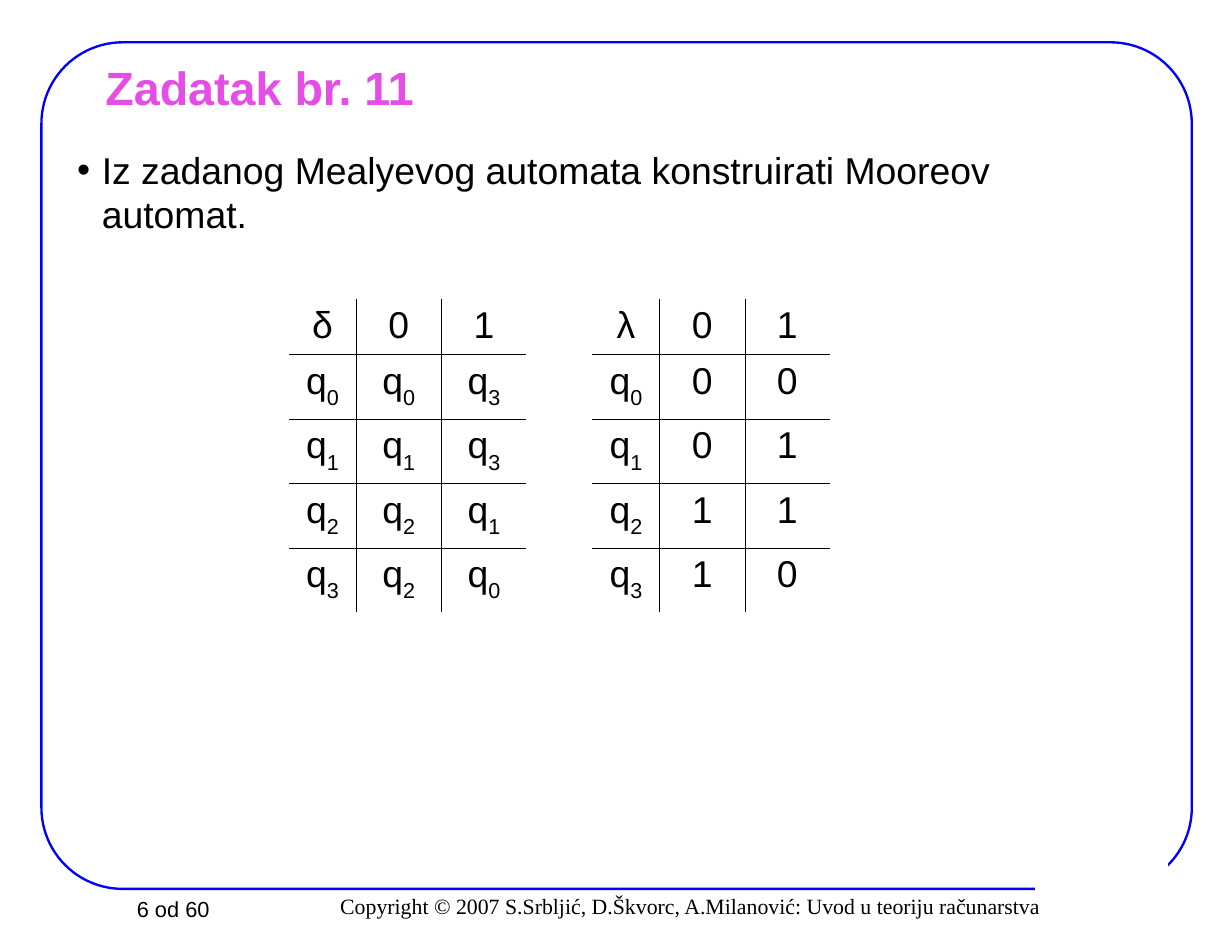
from lxml import etree
from pptx import Presentation
from pptx import util as u
from pptx.dml.color import RGBColor
from pptx.enum import shapes, text
from pptx.oxml import ns

BLACK, WHITE, BLUE, PINK = "000000", "FFFFFF", "0000FF", "E44EE4"
THICK, THIN = 0.75, 0.34


def color(value):
    return RGBColor.from_string(value)


def add_xml(parent, tag, **attributes):
    return etree.SubElement(parent, ns.qn(tag), attributes)


def style(paragraph, size, name="Arial", ink=BLACK, align=text.PP_ALIGN.LEFT, bold=False):
    paragraph.alignment = align
    font = paragraph.font
    font.name, font.size, font.bold = name, u.Pt(size), bold
    font.color.rgb = color(ink)


def set_frame(box, inset_x, inset_y, wrap=True, anchor=text.MSO_ANCHOR.TOP):
    frame = box.text_frame
    frame.auto_size = text.MSO_AUTO_SIZE.NONE
    frame.word_wrap, frame.vertical_anchor = wrap, anchor
    frame.margin_left = frame.margin_right = u.Cm(inset_x)
    frame.margin_top = frame.margin_bottom = u.Cm(inset_y)
    return frame


def add_border(page, left, top, width, height):
    """Rounded page border with a gap at its lower right."""
    parts = (
        (shapes.MSO_SHAPE.ROUNDED_RECTANGLE, left, top, width, height, BLUE, 1.5),
        (shapes.MSO_SHAPE.RECTANGLE, left + width - 3.53, top + height - 0.69,
         2.97, 1.27, WHITE, 1),
    )
    for kind, x, y, w, h, ink, weight in parts:
        shape = page.shapes.add_shape(kind, u.Cm(x), u.Cm(y), u.Cm(w), u.Cm(h))
        shape.shadow.inherit = False
        shape.line.color.rgb = color(ink)
        shape.line.width = u.Pt(weight)
        if kind == shapes.MSO_SHAPE.ROUNDED_RECTANGLE:
            shape.adjustments[0] = 0.096
            shape.fill.background()
        else:
            shape.fill.solid()
            shape.fill.fore_color.rgb = color(WHITE)


def add_footer(page, left, top):
    """Page count and copyright line."""
    count = page.shapes.add_textbox(u.Cm(left), u.Cm(top + 0.07), u.Cm(4.14), u.Cm(0.86))
    frame = set_frame(count, 0.25, 0.13, wrap=False)
    frame.text = "6 od 60"
    style(frame.paragraphs[0], 14, align=text.PP_ALIGN.CENTER)

    notice = page.shapes.add_textbox(u.Cm(left + 3.86), u.Cm(top), u.Cm(18.14), u.Cm(0.86))
    frame = set_frame(notice, 0.25, 0.13, anchor=text.MSO_ANCHOR.MIDDLE)
    frame.text = ("Copyright © 2007 S.Srbljić, D.Škvorc, A.Milanović: "
                  "Uvod u teoriju računarstva")
    style(frame.paragraphs[0], 14, name="Times New Roman", align=text.PP_ALIGN.RIGHT)


def add_title(page, left, top, width, height):
    title = page.shapes.title
    title.left, title.top = u.Cm(left), u.Cm(top)
    title.width, title.height = u.Cm(width), u.Cm(height)
    frame = set_frame(title, 0.28, 0.15, anchor=text.MSO_ANCHOR.MIDDLE)
    frame.text = "Zadatak br. 11"
    style(frame.paragraphs[0], 30, ink=PINK, bold=True)


def add_task(page, left, top, width, height):
    """Bulleted task statement."""
    box = page.shapes.add_textbox(u.Cm(left), u.Cm(top), u.Cm(width), u.Cm(height))
    frame = set_frame(box, 0.28, 0.15)
    frame.text = "Iz zadanog Mealyevog automata konstruirati Mooreov automat."
    paragraph = frame.paragraphs[0]
    properties = paragraph._p.get_or_add_pPr()
    properties.set("marL", str(u.Cm(0.56)))
    properties.set("indent", str(-u.Cm(0.56)))
    add_xml(add_xml(properties, "a:buClr"), "a:srgbClr", val=BLACK)
    add_xml(properties, "a:buFont", typeface="Arial")
    add_xml(properties, "a:buChar", char="•")
    style(paragraph, 24)


def set_borders(cell, weights):
    """Draw the sides named in weights and clear the others."""
    properties = cell._tc.get_or_add_tcPr()
    for side in "LRTB":
        weight = weights.get(side)
        if weight:
            line = add_xml(properties, "a:ln" + side, w=str(u.Pt(weight)))
            add_xml(add_xml(line, "a:solidFill"), "a:srgbClr", val=BLACK)
        else:
            add_xml(add_xml(properties, "a:ln" + side, w="0"), "a:noFill")
    cell.fill.background()


def fill_cell(cell, label):
    """Write a label; digits after a q become a subscript."""
    cell.margin_left = cell.margin_right = u.Cm(0.25)
    cell.margin_top = cell.margin_bottom = u.Cm(0.13)
    paragraph = cell.text_frame.paragraphs[0]
    style(paragraph, 24, align=text.PP_ALIGN.CENTER)
    if label:
        paragraph.add_run().text = label[0]
    if label[1:]:
        span = paragraph.add_run()
        span.text = label[1:]
        span._r.get_or_add_rPr().set("baseline", "-30000")


def add_automaton(page, left, top):
    """Transition and output tables, side by side in one grid."""
    rows = [
        ["δ", "0", "1", "", "λ", "0", "1"],
        ["q0", "q0", "q3", "", "q0", "0", "0"],
        ["q1", "q1", "q3", "", "q1", "0", "1"],
        ["q2", "q2", "q1", "", "q2", "1", "1"],
        ["q3", "q2", "q0", "", "q3", "1", "0"],
    ]
    block = [1.53, 1.93, 1.93]
    widths = block + [1.49] + block
    heights = [1.27] + [1.46] * 4
    table = page.shapes.add_table(
        len(rows), len(widths), u.Cm(left), u.Cm(top),
        u.Cm(sum(widths)), u.Cm(sum(heights))).table
    table.first_row = table.horz_banding = False
    for column, width in zip(table.columns, widths):
        column.width = u.Cm(width)
    for row, height in zip(table.rows, heights):
        row.height = u.Cm(height)

    # Lines between the columns and rows of each block
    upright = [None, THICK, THIN, None]
    level = [None, THICK, THIN, THIN, THIN, None]
    for r, labels in enumerate(rows):
        for c, label in enumerate(labels):
            cell = table.cell(r, c)
            fill_cell(cell, label)
            place = c % 4
            weights = {}
            if place < 3:
                weights = {"L": upright[place], "R": upright[place + 1],
                           "T": level[r], "B": level[r + 1]}
            set_borders(cell, weights)


def main():
    deck = Presentation()
    deck.slide_width, deck.slide_height = u.Cm(27.94), u.Cm(21.59)
    page = deck.slides.add_slide(deck.slide_layouts[5])
    add_border(page, 0.94, 0.96, 26.09, 19.2)
    add_footer(page, 1.86, 20.12)
    add_task(page, 1.47, 3.18, 24.36, 3.35)
    add_title(page, 2.11, 1.27, 23.75, 1.4)
    add_automaton(page, 6.55, 6.78)
    deck.save("out.pptx")


if __name__ == "__main__":
    main()
